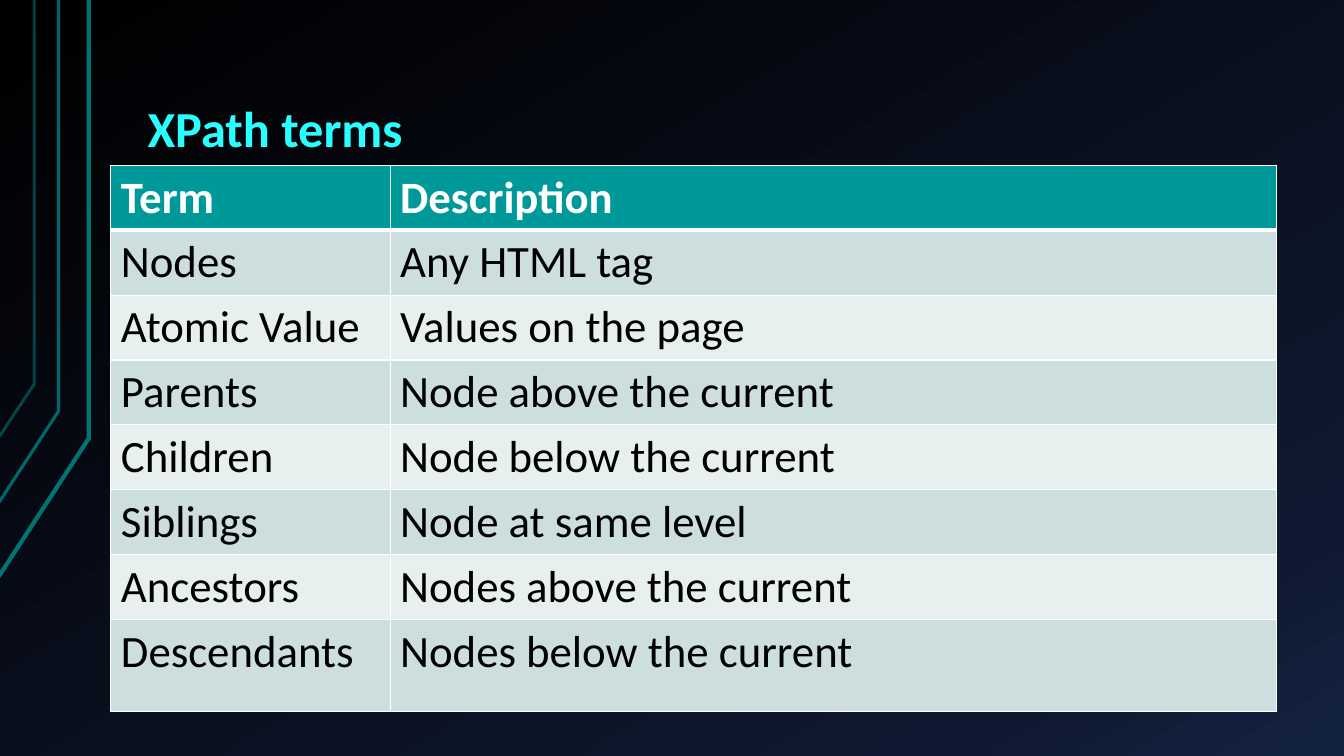
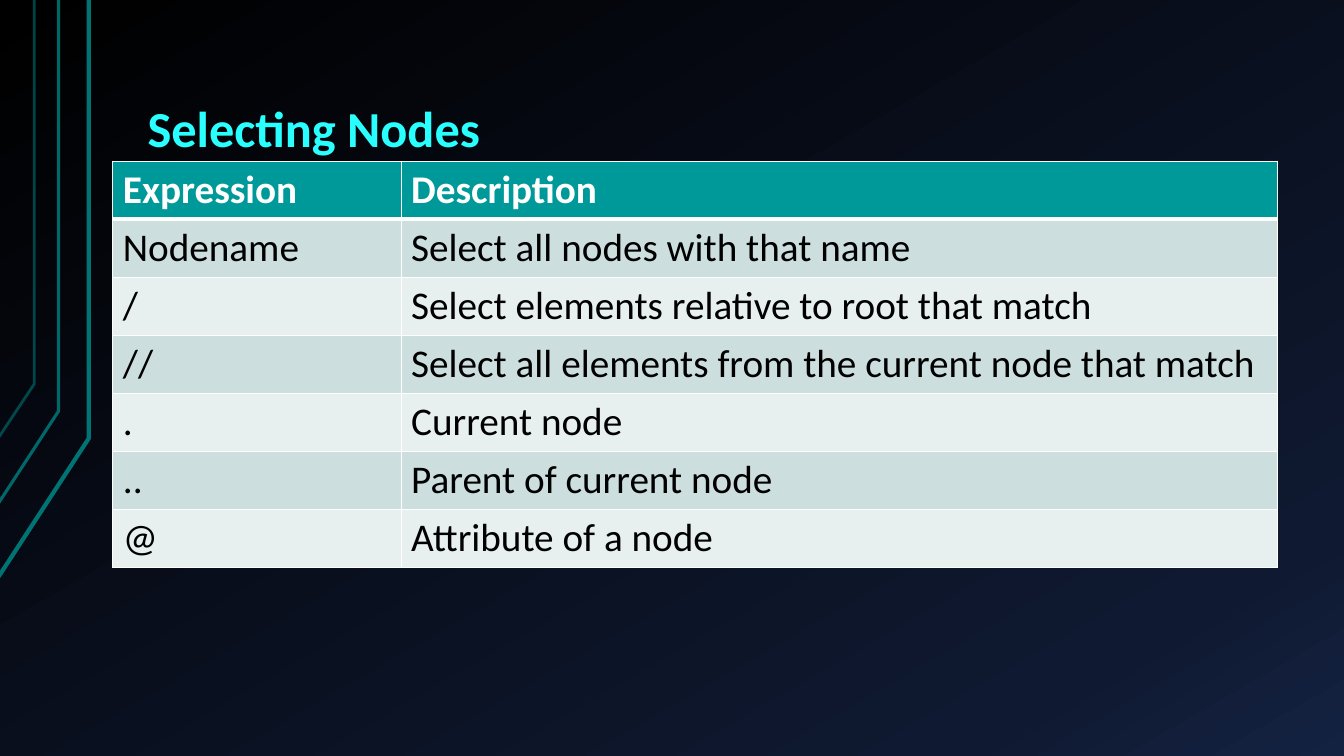
from pptx import Presentation
from pptx.dml.color import RGBColor
from pptx.enum.text import MSO_ANCHOR, MSO_AUTO_SIZE, PP_ALIGN
from pptx.oxml.ns import qn
from pptx.util import Inches, Pt
from lxml.etree import SubElement

WIDTH, HEIGHT = Inches(13.33), Inches(7.5)
FONT = "Calibri"
TITLE, HEADER, WHITE, BLACK, LINE = "29FFFF", "009999", "FFFFFF", "000000", "007373"
BANDS = ("CCDEDE", "E7EFEF")
BACKDROP = ((0, "000000"), (85, "0F1931"), (100, "142242"))
RAILS = (
    {"end": 76.27, "bend": 58, "x": 6.6, "weight": 3, "opacity": 100},
    {"end": 66.53, "bend": 54.4, "x": 4.35, "weight": 2.25, "opacity": 90},
    {"end": 57.87, "bend": 50.8, "x": 2.55, "weight": 2, "opacity": 60},
)
TERMS = (
    ("Term", "Description"),
    ("Nodes", "Any HTML tag"),
    ("Atomic Value", "Values on the page"),
    ("Parents", "Node above the current"),
    ("Children", "Node below the current"),
    ("Siblings", "Node at same level"),
    ("Ancestors", "Nodes above the current"),
    ("Descendants", "Nodes below the current"),
)
EXPRESSIONS = (
    ("Expression", "Description"),
    ("Nodename", "Select all nodes with that name"),
    ("/", "Select elements relative to root that match"),
    ("//", "Select all elements from the current node that match"),
    (".", "Current node"),
    ("..", "Parent of current node"),
    ("@", "Attribute of a node"),
)


def across(percent):
    return round(WIDTH * percent / 100)


def down(percent):
    return round(HEIGHT * percent / 100)


def color(value):
    return RGBColor.from_string(value)


def apply(target, values):
    for name, value in values.items():
        setattr(target, name, value)


def write(frame, text, size, ink, bold):
    para = frame.paragraphs[0]
    para.alignment = PP_ALIGN.LEFT
    span = para.add_run()
    span.text = text
    apply(span.font, {"name": FONT, "size": Pt(size), "bold": bold})
    span.font.color.rgb = color(ink)
    return para


def paint_backdrop(master):
    fill = master.background.fill
    fill.gradient()
    fill.gradient_angle = 300
    stops = master.element.xpath(".//p:bg//a:gsLst")[0]
    for stop in list(stops):
        stops.remove(stop)
    for position, value in BACKDROP:
        stop = SubElement(stops, qn("a:gs"), pos=str(position * 1000))
        SubElement(stop, qn("a:srgbClr"), val=value)


def add_rail(page, end, bend, x, weight, opacity):
    builder = page.shapes.build_freeform(across(-0.1), down(end))
    builder.add_line_segments([(across(x), down(bend)), (across(x), 0)], close=False)
    rail = builder.convert_to_shape()
    rail.shadow.inherit = False
    rail.fill.background()
    rail.line.color.rgb = color(LINE)
    rail.line.width = Pt(weight)
    ink = rail.element.xpath(".//a:ln//a:srgbClr")[0]
    SubElement(ink, qn("a:alpha"), val=str(opacity * 1000))
    return rail


def share_rails(page):
    tree = page.slide_layout.shapes.element
    for number, rail in enumerate(RAILS, 20):
        shape = add_rail(page, **rail).element
        shape.xpath(".//p:cNvPr")[0].set("id", str(number))
        tree.append(shape)


def set_title(page, text):
    box = page.shapes.title
    apply(box, {"left": across(10), "top": down(4),
                "width": across(85), "height": down(17.87)})
    frame = box.text_frame
    apply(frame, {"margin_left": Inches(0.13), "margin_right": Inches(0.13),
                  "margin_top": Inches(0.07), "margin_bottom": Inches(0.07),
                  "vertical_anchor": MSO_ANCHOR.BOTTOM, "word_wrap": True,
                  "auto_size": MSO_AUTO_SIZE.NONE})
    write(frame, text, 36, TITLE, True).line_spacing = 0.9


def set_borders(cell, weights):
    properties = cell._tc.get_or_add_tcPr()
    for side, weight in weights.items():
        border = SubElement(properties, qn("a:ln" + side), w=str(Pt(weight)))
        fill = SubElement(border, qn("a:solidFill"))
        SubElement(fill, qn("a:srgbClr"), val=WHITE)


def add_term_table(page, left, top, columns, rows, entries, size):
    table = page.shapes.add_table(
        len(rows), len(columns), across(left), down(top),
        across(sum(columns)), down(sum(rows))).table
    for column, share in zip(table.columns, columns):
        column.width = across(share)
    for index, (row, share, texts) in enumerate(zip(table.rows, rows, entries)):
        row.height = down(share)
        heading = index == 0
        weights = {"L": 1, "R": 1, "T": 3 if index == 1 else 1, "B": 3 if heading else 1}
        for cell, text in zip(row.cells, texts):
            set_borders(cell, weights)
            cell.fill.solid()
            cell.fill.fore_color.rgb = color(HEADER if heading else BANDS[(index - 1) % 2])
            write(cell.text_frame, text, size, WHITE if heading else BLACK, heading)


def main():
    deck = Presentation()
    apply(deck, {"slide_width": WIDTH, "slide_height": HEIGHT})
    paint_backdrop(deck.slide_master)
    layout = deck.slide_layouts.get_by_name("Title Only")

    terms = deck.slides.add_slide(layout)
    share_rails(terms)
    set_title(terms, "XPath terms")
    add_term_table(terms, 8.25, 21.87, (20.78, 65.94), [8.53] * 7 + [12.13], TERMS, 32)

    nodes = deck.slides.add_slide(layout)
    set_title(nodes, "Selecting Nodes")
    add_term_table(nodes, 8.4, 21.33, (21.45, 65.19), [7.6] * 7, EXPRESSIONS, 28)

    deck.save("out.pptx")


main()
